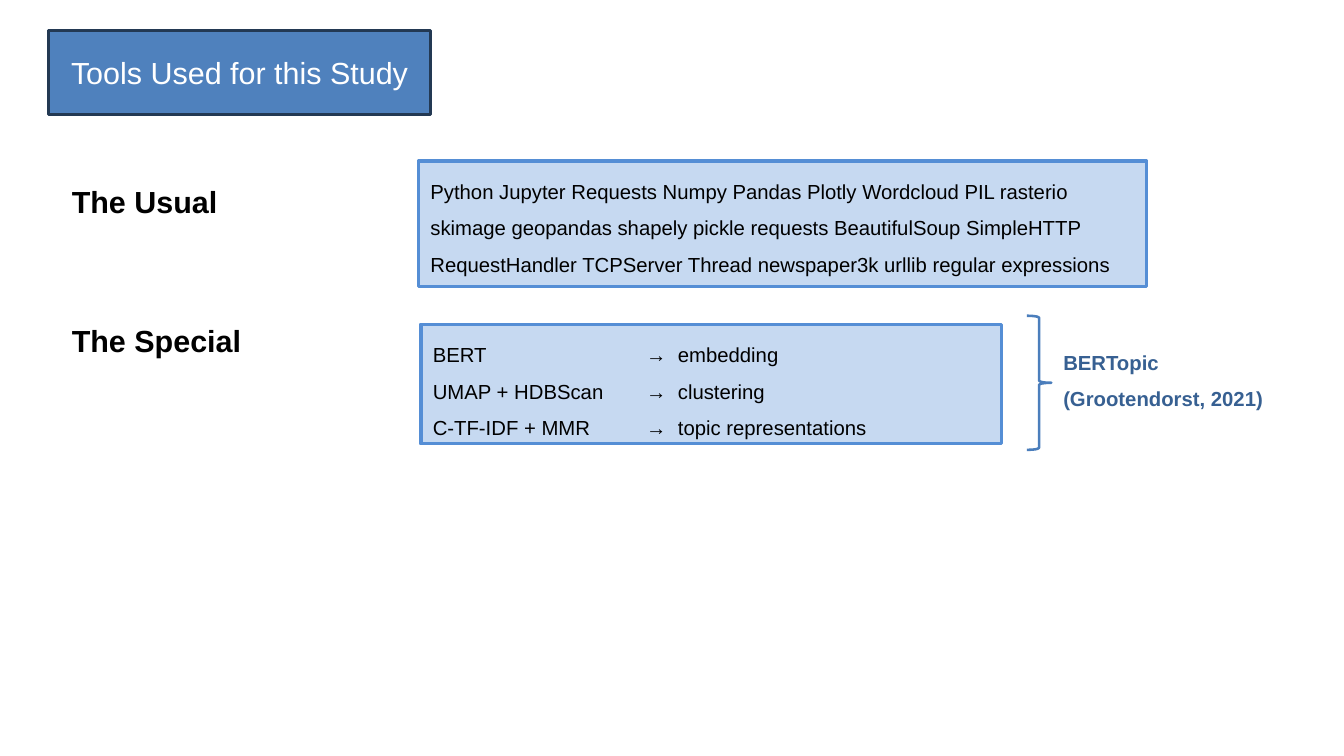
from pptx import Presentation, util as u
from pptx.dml.color import RGBColor
from pptx.enum import shapes, text
from pptx.oxml import parse_xml
from pptx.oxml.ns import nsdecls

WIDE, HIGH = 11.02, 6.2
COL, ROW = WIDE / 100, HIGH / 100  # grid of 100 columns by 100 rows
FONT = "Arial"
HUES = {
    "title": "4F81BD", "edge": "233953", "panel": "C6D9F1", "rim": "558ED5",
    "brace": "4B7EBC", "note": "376092", "ink": "000000", "white": "FFFFFF",
}
LABEL = 17.33  # columns taken by a label or note


def hue(name):
    return RGBColor.from_string(HUES[name])


def within(box, x, y, w, h):
    """Shift a grid area by the corner of its region."""
    return box[0] + x, box[1] + y, w, h


def place(area):
    x, y, w, h = area
    return [u.Inches(n) for n in (x * COL, y * ROW, w * COL, h * ROW)]


def write(shape, lines, size=12, color="ink", bold=False, space=1.5,
          align=text.PP_ALIGN.LEFT, anchor=text.MSO_ANCHOR.TOP, tab=None):
    frame = shape.text_frame
    frame.word_wrap = True
    frame.vertical_anchor = anchor
    for i, line in enumerate(lines):
        para = frame.add_paragraph() if i else frame.paragraphs[0]
        if tab:
            para._p.get_or_add_pPr().append(parse_xml(
                f'<a:tabLst {nsdecls("a")}>'
                f'<a:tab pos="{u.Inches(tab)}" algn="l"/></a:tabLst>'))
        para.alignment = align
        para.line_spacing = space
        run = para.add_run()
        run.text = line
        font = run.font
        font.name, font.size, font.bold = FONT, u.Pt(size), bold
        font.color.rgb = hue(color)


def draw(slide, kind, area, line, fill=None, width=2):
    shape = slide.shapes.add_shape(kind, *place(area))
    shape.shadow.inherit = False
    if fill:
        shape.fill.solid()
        shape.fill.fore_color.rgb = hue(fill)
    else:
        shape.fill.background()
    shape.line.color.rgb = hue(line)
    shape.line.width = u.Pt(width)
    return shape


def panel(slide, area, lines):
    shape = draw(slide, shapes.MSO_SHAPE.RECTANGLE, area, "rim", "panel")
    write(shape, lines)


def words(slide, area, lines, **style):
    write(slide.shapes.add_textbox(*place(area)), lines, **style)


def label(slide, area, line):
    words(slide, area, [line], size=18, bold=True,
          anchor=text.MSO_ANCHOR.MIDDLE)


def title(slide, box):
    shape = draw(slide, shapes.MSO_SHAPE.RECTANGLE, box, "edge", "title")
    write(shape, ["Tools Used for this Study"], size=18, color="white",
          space=1, align=text.PP_ALIGN.CENTER, anchor=text.MSO_ANCHOR.MIDDLE)


def usual(slide, box):
    label(slide, within(box, 0, 0, LABEL, 8.23), "The Usual")
    panel(slide, within(box, 26.68, 0, 54.17, 16.61), [
        "Python Jupyter Requests Numpy Pandas Plotly Wordcloud PIL rasterio "
        "skimage geopandas shapely pickle requests BeautifulSoup SimpleHTTP "
        "RequestHandler TCPServer Thread newspaper3k urllib regular "
        "expressions"])


def special(slide, box):
    label(slide, within(box, 0, 0, LABEL, 6.61), "The Special")

    # Tools and the step each one serves
    steps = {"BERT": "embedding", "UMAP + HDBScan": "clustering",
             "C-TF-IDF + MMR": "topic representations"}
    top, tall = 2.42, 15.81
    panel(slide, within(box, 26.86, top, 43.19, tall), steps)
    words(slide, within(box, 42.74, top, 24.14, tall),
          [f"→\t{step}" for step in steps.values()], tab=0.26)

    # Brace and the model that joins the steps
    draw(slide, shapes.MSO_SHAPE.RIGHT_BRACE,
         within(box, 71.96, 1.29, 1.81, 17.74), "brace", width=1.5)
    words(slide, within(box, 73.77, 3.39, LABEL, 12.42),
          ["BERTopic", "(Grootendorst, 2021)"], color="note", bold=True)


def main():
    deck = Presentation()
    deck.slide_width, deck.slide_height = u.Inches(WIDE), u.Inches(HIGH)
    slide = deck.slides.add_slide(deck.slide_layouts[6])
    title(slide, (3.63, 4.03, 28.4, 11.13))
    usual(slide, (4.45, 21.29, 80.85, 16.61))
    special(slide, (4.45, 40.48, 91.1, 19.03))
    deck.save("out.pptx")


if __name__ == "__main__":
    main()
